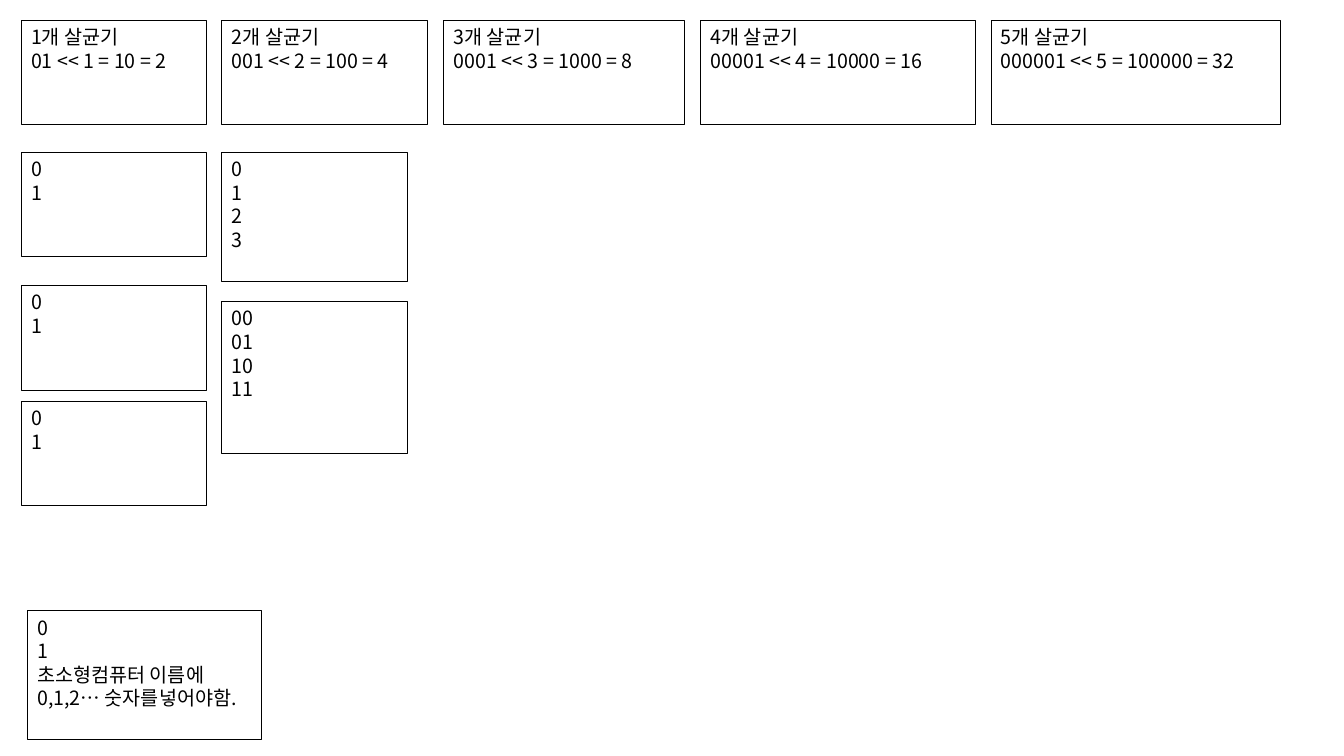
from lxml.etree import SubElement
from pptx import Presentation
from pptx.dml.color import RGBColor
from pptx.enum.text import MSO_ANCHOR, MSO_AUTO_SIZE
from pptx.oxml.ns import qn
from pptx.util import Inches, Pt

BLACK = RGBColor(0x00, 0x00, 0x00)
FONT = "Noto Sans CJK KR"
BOX_W, BOX_H = 1.84, 1.04


def add_box(slide, left, top, width, height, lines):
    """Outlined text box with one paragraph per line."""
    sp = slide.shapes.add_textbox(*map(Inches, (left, top, width, height)))
    sp.line.color.rgb = BLACK
    sp.line.width = Pt(0.75)
    tf = sp.text_frame
    tf.word_wrap = True
    tf.auto_size = MSO_AUTO_SIZE.NONE
    tf.vertical_anchor = MSO_ANCHOR.TOP
    tf.text = "\n".join(lines)
    for p in tf.paragraphs:
        p.font.size = Pt(14)
        p.font.color.rgb = BLACK
        p.font.name = FONT
        # Korean glyphs take the East Asian typeface
        def_rpr = p._p.pPr.find(qn("a:defRPr"))
        SubElement(def_rpr, qn("a:ea"), typeface=FONT)


def add_header_row(slide, top, height, columns):
    """Shift formula for each number of sterilizers."""
    for n, (left, width) in enumerate(columns, start=1):
        formula = f"{'0' * n}1 << {n} = 1{'0' * n} = {2 ** n}"
        add_box(slide, left, top, width, height, [f"{n}개 살균기", formula])


def add_one_bit_column(slide, left, width, height, tops):
    """States of a single sterilizer."""
    for top in tops:
        add_box(slide, left, top, width, height, "01")


def add_two_bit_column(slide, left, top, width):
    """States of two sterilizers, in decimal and in binary."""
    add_box(slide, left, top, width, 1.28, [str(n) for n in range(4)])
    add_box(slide, left, top + 1.48, width, 1.51, [f"{n:02b}" for n in range(4)])


prs = Presentation()
prs.slide_width, prs.slide_height = Inches(13.33), Inches(7.5)
slide = prs.slides.add_slide(prs.slide_layouts[6])

add_header_row(slide, 0.2, BOX_H, [
    (0.21, BOX_W), (2.2, 2.04), (4.4, 2.39), (6.95, 2.73), (9.83, 2.87)])
add_one_bit_column(slide, 0.21, BOX_W, BOX_H, [1.51, 2.83, 3.98])
add_two_bit_column(slide, 2.2, 1.51, BOX_W)

# Naming note
add_box(slide, 0.27, 6.06, 2.32, 1.28,
        ["0", "1", "초소형컴퓨터 이름에 0,1,2… 숫자를넣어야함."])

prs.save("out.pptx")
